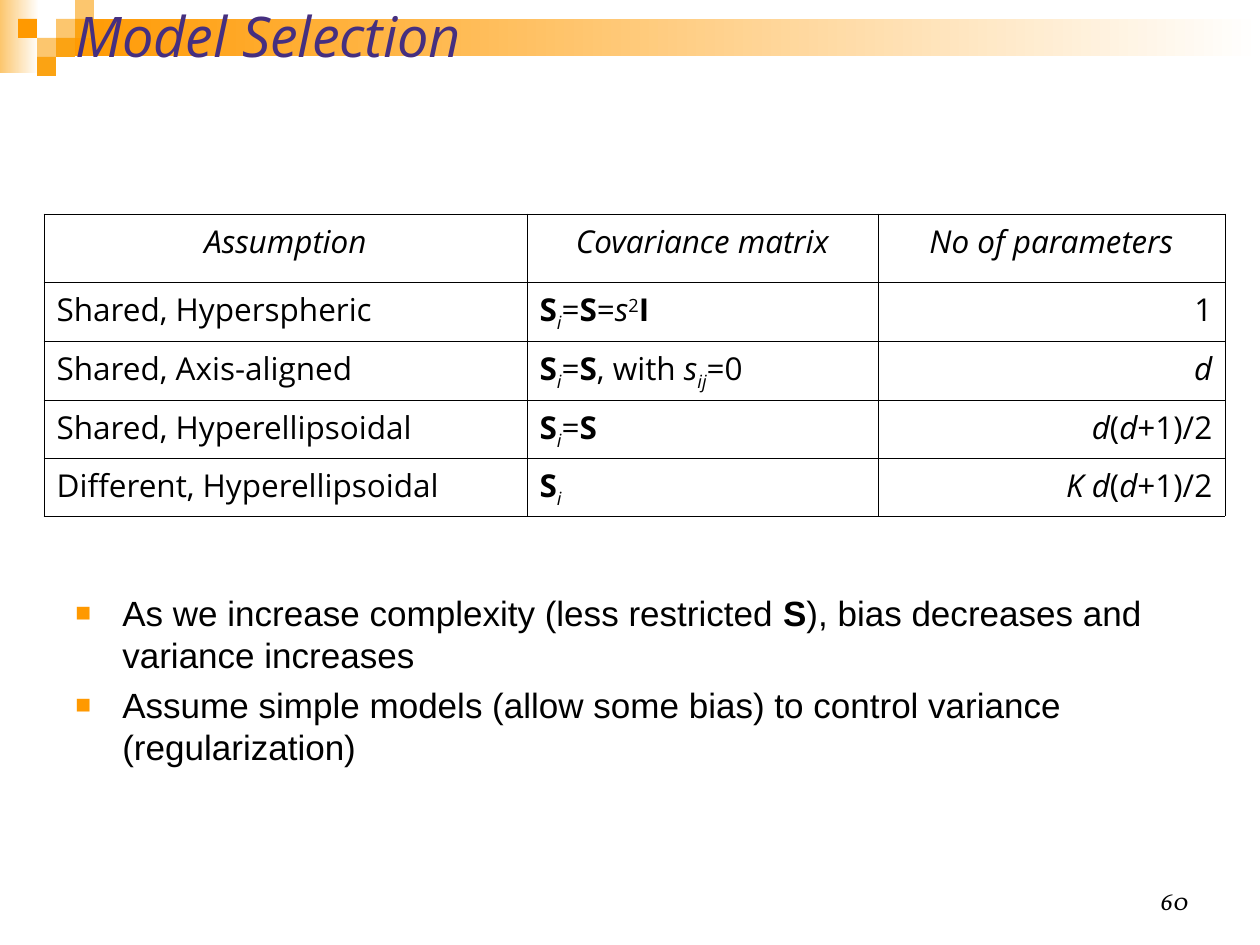
from typing import NamedTuple

from lxml.etree import SubElement
from pptx import Presentation
from pptx.dml.color import RGBColor as RGB
from pptx.enum.shapes import MSO_SHAPE as SHAPE
from pptx.enum.text import MSO_ANCHOR as ANCHOR, PP_ALIGN as ALIGN
from pptx.oxml.ns import qn
from pptx.util import Pt

EMU_PER_PX = 914400 / 126
COLORS = {
    "white": "FFFFFF", "black": "000000", "title": "452F80",
    "orange": "FF9900", "amber": "FBA313", "sand": "FCC66E",
}


class Box(NamedTuple):
    x: int
    y: int
    w: int
    h: int


class Square(NamedTuple):
    col: int
    row: int
    color: str


class Font(NamedTuple):
    name: str
    size: int
    color: str = "black"


class Run(NamedTuple):
    text: str
    bold: bool = False
    italic: bool = False
    baseline: int = 0  # percent, negative for a subscript


def px(n: int) -> int:
    return round(n * EMU_PER_PX)


def rgb(name: str) -> RGB:
    return RGB.from_string(COLORS[name])


def add_block(s, box: Box, color: str, fade: bool = False) -> None:
    sp = s.shapes.add_shape(SHAPE.RECTANGLE, *map(px, box))
    sp.shadow.inherit = False
    sp.line.fill.background()
    if not fade:
        sp.fill.solid()
        sp.fill.fore_color.rgb = rgb(color)
        return
    sp.fill.gradient()
    sp.fill.gradient_angle = 180
    for stop, name in zip(sp.fill.gradient_stops, ("white", color)):
        stop.color.rgb = rgb(name)


def write(p, runs: list[Run], font: Font) -> None:
    for run in runs:
        r = p.add_run()
        r.text = run.text
        r.font.name, r.font.size = font.name, Pt(font.size)
        r.font.bold, r.font.italic = run.bold, run.italic
        r.font.color.rgb = rgb(font.color)
        if run.baseline:
            r.font._element.set("baseline", str(run.baseline * 1000))


def add_text(s, box: Box, anchor: ANCHOR):
    tf = s.shapes.add_textbox(*map(px, box)).text_frame
    tf.word_wrap = True
    tf.vertical_anchor = anchor
    return tf


def add_bullet(p) -> None:
    pPr = p._p.get_or_add_pPr()
    pPr.set("marL", str(px(47)))
    pPr.set("indent", str(px(-47)))
    color = SubElement(pPr, qn("a:buClr"))
    SubElement(color, qn("a:srgbClr"), val=COLORS["orange"])
    SubElement(pPr, qn("a:buSzPct"), val="75000")
    SubElement(pPr, qn("a:buFont"), typeface="Arial")
    SubElement(pPr, qn("a:buChar"), char="■")


def set_borders(cell, widths: dict[str, float]) -> None:
    tcPr = cell._tc.get_or_add_tcPr()
    for i, (side, width) in enumerate(widths.items()):
        ln = tcPr.makeelement(qn(f"a:ln{side}"), {"w": str(Pt(width))})
        fill = SubElement(ln, qn("a:solidFill"))
        SubElement(fill, qn("a:srgbClr"), val=COLORS["black"])
        tcPr.insert(i, ln)


def add_grid(s, box: Box, widths: list[int], heights: list[int],
             rows: list[list[list[Run]]], font: Font) -> None:
    last_row, last_col = len(heights) - 1, len(widths) - 1
    table = s.shapes.add_table(len(heights), len(widths), *map(px, box)).table
    table.first_row = table.horz_banding = False
    for col, w in zip(table.columns, widths):
        col.width = px(w)
    for row, h in zip(table.rows, heights):
        row.height = px(h)
    aligns = (ALIGN.LEFT, ALIGN.LEFT, ALIGN.RIGHT)
    for i, row in enumerate(rows):
        for j, runs in enumerate(row):
            cell = table.cell(i, j)
            cell.fill.background()
            p = cell.text_frame.paragraphs[0]
            p.alignment = aligns[j] if i else ALIGN.CENTER
            p.line_spacing = 0.98
            write(p, runs, font)
            outer = {"L": j == 0, "R": j == last_col,
                     "T": i == 0, "B": i == last_row}
            set_borders(cell, {k: 0.5 if v else 0.23 for k, v in outer.items()})


# Content
SIGMA = Run("S", bold=True)
SIGMA_I = [SIGMA, Run("i", italic=True, baseline=-25)]
EQ = Run("=")
SMALL_S, D = Run("s", italic=True), Run("d", italic=True)
TRIANGLE = [Run("("), D, Run("+1)/2")]
ROWS = [
    [[Run(t, italic=True)]
     for t in ("Assumption", "Covariance matrix", "No of parameters")],
    [[Run("Shared, Hyperspheric")],
     [*SIGMA_I, EQ, SIGMA, EQ, SMALL_S, Run("2", baseline=30),
      Run("I", bold=True)],
     [Run("1")]],
    [[Run("Shared, Axis-aligned")],
     [*SIGMA_I, EQ, SIGMA, Run(", with "), SMALL_S,
      Run("ij", italic=True, baseline=-25), Run("=0")],
     [D]],
    [[Run("Shared, Hyperellipsoidal")], [*SIGMA_I, EQ, SIGMA], [D, *TRIANGLE]],
    [[Run("Different, Hyperellipsoidal")], SIGMA_I,
     [Run("K d", italic=True), *TRIANGLE]],
]
BULLETS = [
    [Run("As we increase complexity (less restricted "), SIGMA,
     Run("), bias decreases and variance increases")],
    [Run("Assume simple models (allow some bias) to control variance "
         "(regularization)")],
]
SIDE = 19
SQUARES = [
    Square(2, 1, "sand"), Square(3, 0, "sand"), Square(3, 1, "amber"),
    Square(1, 2, "sand"), Square(0, 1, "orange"), Square(2, 2, "amber"),
    Square(1, 3, "amber"),
]


def main() -> None:
    prs = Presentation()
    prs.slide_width, prs.slide_height = px(1260), px(945)
    s = prs.slides.add_slide(prs.slide_layouts[6])

    # Header band and checker squares
    add_block(s, Box(0, 0, 39, 73), "sand", fade=True)
    add_block(s, Box(57, 19, 1203, 37), "orange", fade=True)
    for col, row, color in SQUARES:
        add_block(s, Box(18 + col * SIDE, row * SIDE, SIDE, SIDE), color)

    # Slide number
    p = add_text(s, Box(907, 859, 294, 63), ANCHOR.BOTTOM).paragraphs[0]
    p.alignment = ALIGN.RIGHT
    write(p, [Run("60", italic=True)], Font("Vollkorn", 14))

    # Title
    p = add_text(s, Box(63, -4, 1134, 79), ANCHOR.MIDDLE).paragraphs[0]
    write(p, [Run("Model Selection", italic=True)],
          Font("Open Sans", 32, "title"))

    # Covariance table
    add_grid(s, Box(44, 214, 1181, 302), [483, 351, 347],
             [68, 59, 59, 58, 58], ROWS, Font("Open Sans", 18))

    # Bullets
    tf = add_text(s, Box(63, 585, 1134, 254), ANCHOR.TOP)
    for i, runs in enumerate(BULLETS):
        p = tf.add_paragraph() if i else tf.paragraphs[0]
        if i:
            p.space_before = Pt(5)
        add_bullet(p)
        write(p, runs, Font("Arial", 20))

    prs.save("out.pptx")


if __name__ == "__main__":
    main()
